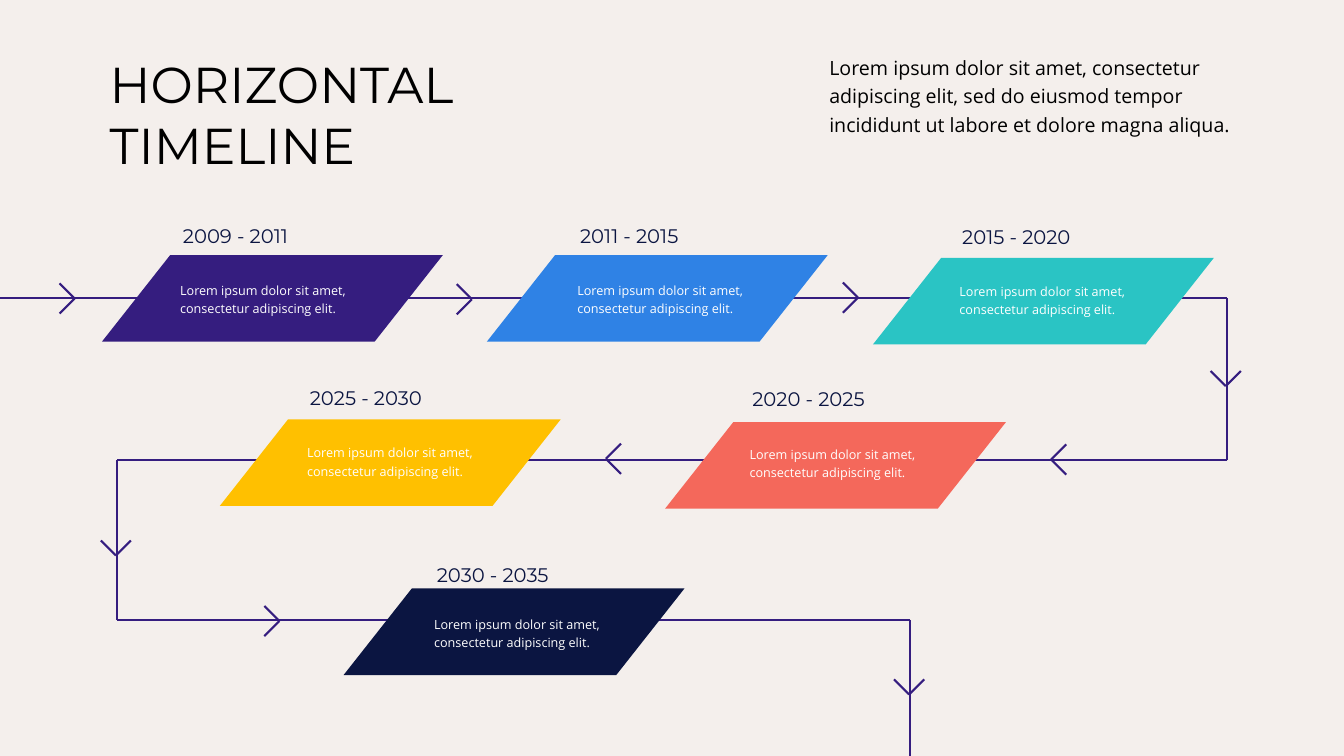
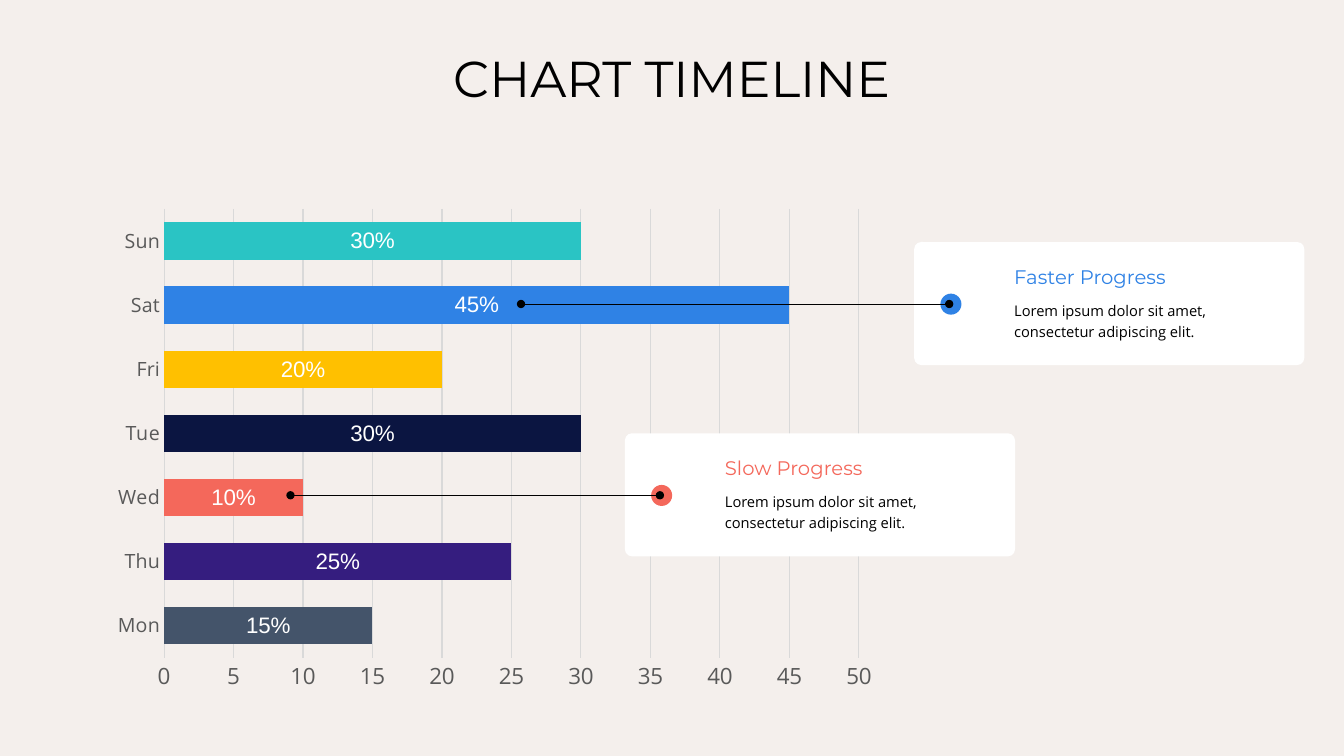
import itertools
from dataclasses import dataclass

import lxml.etree
import pptx
import pptx.chart.chart
import pptx.chart.data
import pptx.dml.color
import pptx.enum.chart
import pptx.enum.shapes
import pptx.enum.text
import pptx.oxml.ns
import pptx.shapes.autoshape
import pptx.shapes.connector
import pptx.slide
import pptx.text.text
import pptx.util

Cm = pptx.util.Cm
Pt = pptx.util.Pt
Shapes = pptx.enum.shapes.MSO_SHAPE
Align = pptx.enum.text.PP_ALIGN

# Shared look
BACKGROUND = "F4EFEC"
BLACK = "000000"
WHITE = "FFFFFF"
PURPLE = "351D7F"
BLUE = "2F82E5"
TEAL = "2AC4C4"
YELLOW = "FFC000"
CORAL = "F4685B"
NAVY = "0B1541"
SLATE = "44546A"
GRID_GREY = "D9D9D9"
AXIS_GREY = "595959"
HEADING_FONT = "Montserrat"
BODY_FONT = "Open Sans"
SHORT_TEXT = "Lorem ipsum dolor sit amet, consectetur adipiscing elit."
INTRO_TEXT = ("Lorem ipsum dolor sit amet, consectetur adipiscing elit, sed do "
              "eiusmod tempor incididunt ut labore et dolore magna aliqua.")


@dataclass
class Step:
    """One period of the timeline; positions in centimetres."""
    period: str
    color: str
    left: float
    top: float
    text_left: float
    text_top: float
    label_top: float


@dataclass
class Chevron:
    """An open arrowhead whose tip points along (dx, dy)."""
    tip_x: float
    tip_y: float
    dx: int
    dy: int


@dataclass
class Callout:
    """A card tied to a bar of the chart."""
    heading: str
    color: str
    left: float
    top: float
    line_start: float


@dataclass
class Bar:
    day: str
    value: int
    color: str


STEPS = [
    Step("2009 - 2011", PURPLE, 2.57, 6.43, 4.29, 6.93, 5.51),
    Step("2011 - 2015", BLUE, 12.27, 6.43, 14.30, 6.93, 5.51),
    Step("2015 - 2020", TEAL, 22.00, 6.50, 23.93, 6.96, 5.54),
    Step("2020 - 2025", CORAL, 16.76, 10.64, 18.64, 11.05, 9.63),
    Step("2025 - 2030", YELLOW, 5.54, 10.57, 7.49, 11.02, 9.60),
    Step("2030 - 2035", NAVY, 8.66, 14.83, 10.69, 15.34, 14.05),
]

# Corners of the winding line
ROUTE = [(0, 7.52), (30.93, 7.52), (30.93, 11.58), (2.94, 11.58),
         (2.94, 15.62), (22.94, 15.62), (22.94, 19.05)]

CHEVRONS = [
    Chevron(1.88, 7.52, 1, 0),
    Chevron(11.89, 7.54, 1, 0),
    Chevron(21.62, 7.50, 1, 0),
    Chevron(30.89, 9.73, 0, 1),
    Chevron(26.49, 11.58, -1, 0),
    Chevron(15.27, 11.56, -1, 0),
    Chevron(2.92, 14.00, 0, 1),
    Chevron(7.04, 15.65, 1, 0),
    Chevron(22.91, 17.50, 0, 1),
]
CHEVRON_ARM = 0.38

BARS = [
    Bar("Mon", 15, SLATE),
    Bar("Thu", 25, PURPLE),
    Bar("Wed", 10, CORAL),
    Bar("Tue", 30, NAVY),
    Bar("Fri", 20, YELLOW),
    Bar("Sat", 45, BLUE),
    Bar("Sun", 30, TEAL),
]

CALLOUTS = [
    Callout("Faster Progress", BLUE, 23.04, 6.10, 13.13),
    Callout("Slow Progress", CORAL, 15.75, 10.92, 7.32),
]


def rgb(color: str) -> pptx.dml.color.RGBColor:
    return pptx.dml.color.RGBColor.from_string(color)


def write_text(frame: pptx.text.text.TextFrame, text: str, *, size: float,
               color: str = BLACK, font: str = BODY_FONT, spacing: float = 1.0,
               align: Align = Align.LEFT) -> None:
    frame.word_wrap = True
    frame.auto_size = pptx.enum.text.MSO_AUTO_SIZE.NONE
    frame.vertical_anchor = pptx.enum.text.MSO_ANCHOR.TOP
    frame.text = text
    for paragraph in frame.paragraphs:
        paragraph.alignment = align
        paragraph.line_spacing = spacing
        paragraph.font.size = Pt(size)
        paragraph.font.name = font
        paragraph.font.color.rgb = rgb(color)


def add_text(slide: pptx.slide.Slide, text: str, left: float, top: float,
             width: float, height: float, **text_format) -> None:
    box = slide.shapes.add_textbox(Cm(left), Cm(top), Cm(width), Cm(height))
    write_text(box.text_frame, text, **text_format)


def add_shape(slide: pptx.slide.Slide, kind: Shapes, color: str, left: float,
              top: float, width: float,
              height: float) -> pptx.shapes.autoshape.Shape:
    shape = slide.shapes.add_shape(kind, Cm(left), Cm(top), Cm(width), Cm(height))
    shape.shadow.inherit = False
    shape.fill.solid()
    shape.fill.fore_color.rgb = rgb(color)
    shape.line.fill.background()
    return shape


def add_line(slide: pptx.slide.Slide, start: tuple[float, float],
             end: tuple[float, float], color: str = PURPLE, width: float = 1.5,
             oval_ends: bool = False) -> None:
    connector = slide.shapes.add_connector(
        pptx.enum.shapes.MSO_CONNECTOR.STRAIGHT,
        Cm(start[0]), Cm(start[1]), Cm(end[0]), Cm(end[1]))
    connector.line.color.rgb = rgb(color)
    connector.line.width = Pt(width)
    qn = pptx.oxml.ns.qn
    properties = connector.element.spPr
    if oval_ends:
        line = properties.find(qn("a:ln"))
        for tag in ("a:headEnd", "a:tailEnd"):
            lxml.etree.SubElement(line, qn(tag), type="oval")
    lxml.etree.SubElement(properties, qn("a:effectLst"))


def add_slide(presentation: pptx.presentation.Presentation, title: str,
              left: float, top: float, width: float, height: float,
              align: Align = Align.LEFT) -> pptx.slide.Slide:
    slide = presentation.slides.add_slide(
        presentation.slide_layouts.get_by_name("Title Only"))
    shape = slide.shapes.title
    shape.left, shape.top = Cm(left), Cm(top)
    shape.width, shape.height = Cm(width), Cm(height)
    write_text(shape.text_frame, title, size=36, font=HEADING_FONT, align=align)
    return slide


def add_step(slide: pptx.slide.Slide, step: Step) -> None:
    add_shape(slide, Shapes.FLOWCHART_DATA, step.color, step.left, step.top, 8.59, 2.18)
    add_text(slide, step.period, step.text_left + 0.07, step.label_top, 4.3, 0.86,
             size=14, color=NAVY, font=HEADING_FONT)
    add_text(slide, SHORT_TEXT, step.text_left, step.text_top, 5.1, 1.15,
             size=9, color=WHITE, spacing=1.2)


def add_chevron(slide: pptx.slide.Slide, chevron: Chevron) -> None:
    for side in (-1, 1):
        start = (chevron.tip_x + CHEVRON_ARM * (side * chevron.dy - chevron.dx),
                 chevron.tip_y + CHEVRON_ARM * (side * chevron.dx - chevron.dy))
        add_line(slide, start, (chevron.tip_x, chevron.tip_y))


def set_plot_area(chart: pptx.chart.chart.Chart, **fractions: float) -> None:
    """Fix the inner plot area as fractions of the chart frame."""
    qn = pptx.oxml.ns.qn
    plot_area = chart.element.find(".//" + qn("c:plotArea"))
    for old_layout in plot_area.findall(qn("c:layout")):
        plot_area.remove(old_layout)
    layout = lxml.etree.Element(qn("c:layout"))
    manual = lxml.etree.SubElement(layout, qn("c:manualLayout"))
    settings = {"layoutTarget": "inner", "xMode": "edge", "yMode": "edge", **fractions}
    for tag, value in settings.items():
        lxml.etree.SubElement(manual, qn("c:" + tag), val=str(value))
    plot_area.insert(0, layout)


def add_progress_chart(slide: pptx.slide.Slide) -> None:
    data = pptx.chart.data.CategoryChartData()
    data.categories = [bar.day for bar in BARS]
    data.add_series("Series 1", [bar.value for bar in BARS])
    chart = slide.shapes.add_chart(
        pptx.enum.chart.XL_CHART_TYPE.BAR_CLUSTERED,
        Cm(2.59), Cm(5), Cm(19.79), Cm(12.65), data).chart
    chart.has_title = False
    chart.has_legend = False
    chart.font.name = BODY_FONT
    chart.font.size = Pt(10)
    set_plot_area(chart, x=0.078, y=0.021, w=0.885, h=0.894)

    # Bars and their labels
    plot = chart.plots[0]
    plot.gap_width = 72
    plot.vary_by_categories = False
    for index, bar in enumerate(BARS):
        fill = plot.series[0].points[index].format.fill
        fill.solid()
        fill.fore_color.rgb = rgb(bar.color)
    plot.has_data_labels = True
    labels = plot.data_labels
    labels.show_value = True
    labels.number_format = '0"%"'
    labels.number_format_is_linked = False
    labels.position = pptx.enum.chart.XL_LABEL_POSITION.CENTER
    labels.font.name = "Arial"
    labels.font.size = Pt(16)
    labels.font.bold = False
    labels.font.color.rgb = rgb(WHITE)

    # Axes
    for axis, size in ((chart.category_axis, 14), (chart.value_axis, 16)):
        axis.major_tick_mark = pptx.enum.chart.XL_TICK_MARK.NONE
        axis.minor_tick_mark = pptx.enum.chart.XL_TICK_MARK.NONE
        axis.tick_labels.font.name = BODY_FONT
        axis.tick_labels.font.size = Pt(size)
        axis.tick_labels.font.color.rgb = rgb(AXIS_GREY)
    value_axis = chart.value_axis
    value_axis.minimum_scale = 0
    value_axis.maximum_scale = 50
    value_axis.major_unit = 5
    value_axis.has_major_gridlines = True
    value_axis.format.line.fill.background()
    for line in (value_axis.major_gridlines.format.line,
                 chart.category_axis.format.line):
        line.color.rgb = rgb(GRID_GREY)
        line.width = Pt(0.75)


def add_callout(slide: pptx.slide.Slide, callout: Callout) -> None:
    left, top = callout.left, callout.top
    card = add_shape(slide, Shapes.ROUNDED_RECTANGLE, WHITE, left, top, 9.83, 3.1)
    card.adjustments[0] = 0.057
    add_shape(slide, Shapes.OVAL, callout.color, left + 0.66, top + 1.3, 0.53, 0.53)
    add_text(slide, callout.heading, left + 2.27, top + 0.45, 5.23, 0.86,
             size=14, color=callout.color, font=HEADING_FONT)
    add_text(slide, SHORT_TEXT, left + 2.27, top + 1.29, 7.11, 1.3,
             size=10.5, spacing=1.2)
    line_y = top + 1.56
    add_line(slide, (callout.line_start, line_y), (left + 0.88, line_y),
             color=BLACK, width=0.5, oval_ends=True)


def main() -> None:
    presentation = pptx.Presentation()
    presentation.slide_width = Cm(33.87)
    presentation.slide_height = Cm(19.05)
    background = presentation.slide_master.background.fill
    background.solid()
    background.fore_color.rgb = rgb(BACKGROUND)

    # Horizontal timeline
    slide = add_slide(presentation, "HORIZONTAL\nTIMELINE", 2.51, 1.22, 17.55, 3.33)
    add_text(slide, INTRO_TEXT, 20.65, 1.17, 11.25, 2.36, size=14, spacing=1.2)
    for start, end in itertools.pairwise(ROUTE):
        add_line(slide, start, end)
    for step in STEPS:
        add_step(slide, step)
    for chevron in CHEVRONS:
        add_chevron(slide, chevron)

    # Chart timeline
    slide = add_slide(presentation, "CHART TIMELINE", 9.7, 1.07, 14.45, 1.8,
                      align=Align.CENTER)
    add_progress_chart(slide)
    for callout in CALLOUTS:
        add_callout(slide, callout)

    presentation.save("out.pptx")


if __name__ == "__main__":
    main()
